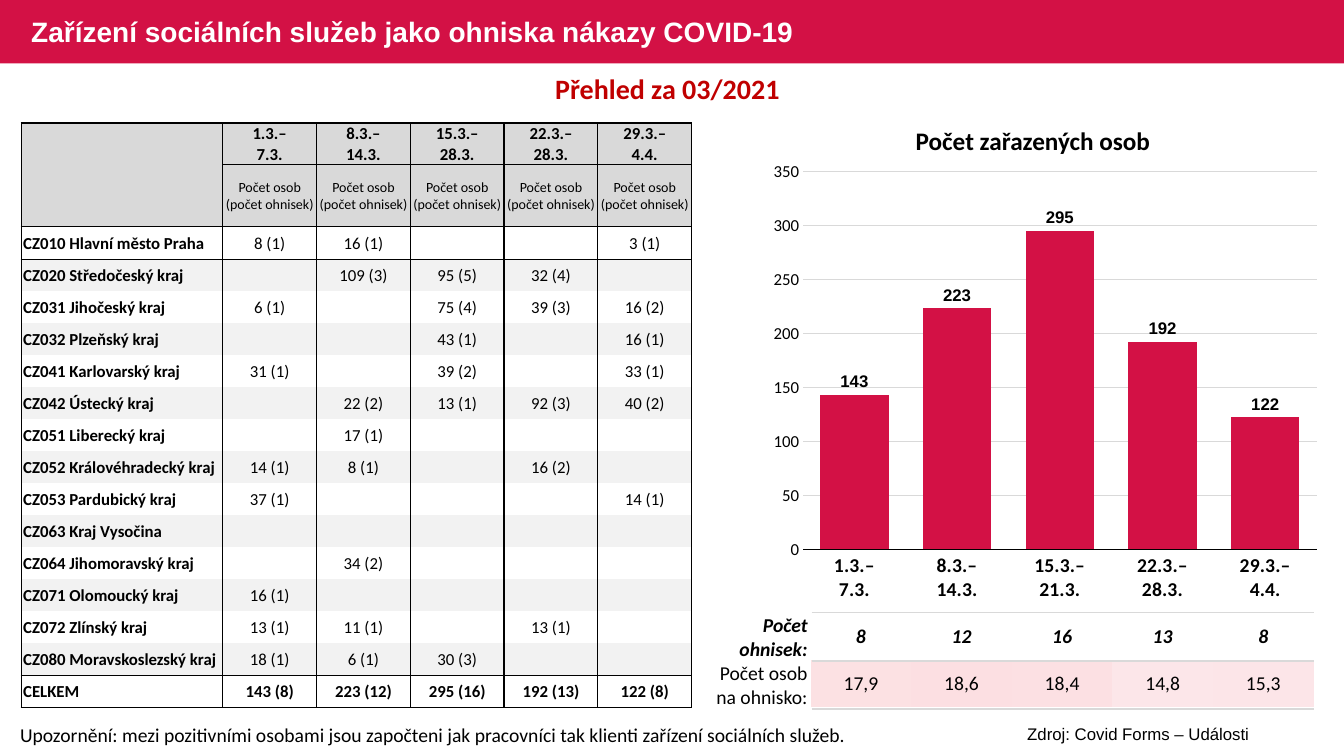
"""Build the slide on COVID-19 outbreaks in social service facilities."""
from lxml import etree
from pptx import Presentation
from pptx.chart.data import CategoryChartData
from pptx.dml.color import RGBColor
from pptx.enum.chart import XL_CHART_TYPE, XL_LABEL_POSITION, XL_TICK_MARK
from pptx.enum.shapes import MSO_SHAPE
from pptx.enum.text import MSO_ANCHOR, MSO_AUTO_SIZE, PP_ALIGN
from pptx.oxml.ns import qn
from pptx.util import Inches, Pt

LEFT, CENTER, RIGHT = PP_ALIGN.LEFT, PP_ALIGN.CENTER, PP_ALIGN.RIGHT
MIDDLE = MSO_ANCHOR.MIDDLE
NO_TICK = XL_TICK_MARK.NONE
COLORS = {
    "crimson": "D31145", "dark_red": "C00000", "black": "000000", "white": "FFFFFF",
    "header": "D9D9D9", "band": "F2F2F2", "grid": "D9D9D9",
}
RGB = {name: RGBColor.from_string(value) for name, value in COLORS.items()}
PLAIN_TABLE_STYLE = "{2D5ABB26-0587-4C30-8999-92F81FD0307C}"


def write(frame, text, size, align=CENTER, font="Calibri", color="black", bold=False, italic=False):
    frame.word_wrap = True
    frame.text = text
    paragraph = frame.paragraphs[0]
    paragraph.alignment = align
    if not text:
        paragraph._p.get_or_add_endParaRPr().set("sz", str(size * 100))
    for run in paragraph.runs:
        run.font.size, run.font.name = Pt(size), font
        run.font.bold, run.font.italic = bold, italic
        run.font.color.rgb = RGB[color]


def format_cell(cell, fill, borders, left_margin=0.01, right_margin=0.01):
    cell.vertical_anchor = MIDDLE
    cell.margin_left, cell.margin_right = Inches(left_margin), Inches(right_margin)
    cell.margin_top, cell.margin_bottom = Inches(0.01), 0
    if fill:
        cell.fill.solid()
        cell.fill.fore_color.rgb = RGBColor.from_string(fill)
    else:
        cell.fill.background()
    properties = cell._tc.get_or_add_tcPr()
    for position, (side, (color, width)) in enumerate(borders.items()):
        line = etree.Element(qn(f"a:ln{side}"), w=str(Pt(width)))
        solid = etree.SubElement(line, qn("a:solidFill"))
        etree.SubElement(solid, qn("a:srgbClr"), val=COLORS[color])
        properties.insert(position, line)


prs = Presentation()
prs.slide_width, prs.slide_height = Inches(13.33), Inches(7.5)
slide = prs.slides.add_slide(prs.slide_layouts[5])
shapes = slide.shapes

banner = shapes.add_shape(MSO_SHAPE.RECTANGLE, 0, 0, prs.slide_width, Inches(0.63))
banner.shadow.inherit = False
banner.fill.solid()
banner.fill.fore_color.rgb = RGB["crimson"]
banner.line.fill.background()
shapes._spTree.insert(2, banner._element)

title = shapes.title
title.left, title.top, title.width, title.height = map(Inches, (0.21, 0.02, 8.13, 0.63))
write(title.text_frame, "Zařízení sociálních služeb jako ohniska nákazy COVID-19", 20,
      LEFT, "Arial", "white", bold=True)
title.text_frame.vertical_anchor = MIDDLE
title.text_frame.auto_size = MSO_AUTO_SIZE.NONE
title.text_frame.paragraphs[0].line_spacing = 0.9

captions = [
    ((0.21, 0.66, 12.82, 0.44), "Přehled za 03/2021", 20, CENTER, "Calibri", "dark_red", True),
    ((7.56, 1.19, 5.37, 0.4), "Počet zařazených osob", 18, CENTER, "Calibri", "black", True),
    ((0.1, 7.12, 8.52, 0.34),
     "Upozornění: mezi pozitivními osobami jsou započteni jak pracovníci tak klienti "
     "zařízení sociálních služeb.", 14, LEFT, "Calibri", "black", False),
    ((9.35, 7.13, 3.88, 0.3), "Zdroj: Covid Forms – Události", 12, CENTER, "Arial", "black", False),
]
for box, *caption in captions:
    write(shapes.add_textbox(*map(Inches, box)).text_frame, *caption)

regions = [
    ("", "1.3.–\v7.3.", "8.3.–\v14.3.", "15.3.–\v28.3.", "22.3.–\v28.3.", "29.3.–\v4.4."),
    ("", *["Počet osob (počet ohnisek)"] * 5),
    ("CZ010 Hlavní město Praha", "8 (1)", "16 (1)", "", "", "3 (1)"),
    ("CZ020 Středočeský kraj", "", "109 (3)", "95 (5)", "32 (4)", ""),
    ("CZ031 Jihočeský kraj", "6 (1)", "", "75 (4)", "39 (3)", "16 (2)"),
    ("CZ032 Plzeňský kraj", "", "", "43 (1)", "", "16 (1)"),
    ("CZ041 Karlovarský kraj", "31 (1)", "", "39 (2)", "", "33 (1)"),
    ("CZ042 Ústecký kraj", "", "22 (2)", "13 (1)", "92 (3)", "40 (2)"),
    ("CZ051 Liberecký kraj", "", "17 (1)", "", "", ""),
    ("CZ052 Královéhradecký kraj", "14 (1)", "8 (1)", "", "16 (2)", ""),
    ("CZ053 Pardubický kraj", "37 (1)", "", "", "", "14 (1)"),
    ("CZ063 Kraj Vysočina", "", "", "", "", ""),
    ("CZ064 Jihomoravský kraj", "", "34 (2)", "", "", ""),
    ("CZ071 Olomoucký kraj", "16 (1)", "", "", "", ""),
    ("CZ072 Zlínský kraj", "13 (1)", "11 (1)", "", "13 (1)", ""),
    ("CZ080 Moravskoslezský kraj", "18 (1)", "6 (1)", "30 (3)", "", ""),
    ("CELKEM", "143 (8)", "223 (12)", "295 (16)", "192 (13)", "122 (8)"),
]
outbreak_values = [("8", "12", "16", "13", "8"), ("17,9", "18,6", "18,4", "14,8", "15,3")]
outbreak_labels = [("Počet ohnisek:", *[""] * 7), ("Počet osob na ohnisko:", *[""] * 7)]
region_heights = [0.41, 0.62] + [(5.8 - 0.41 - 0.62) / 15] * 15
tables = []
for rows, box, widths, heights in [
    (outbreak_values, (8.04, 6.08, 4.99, 0.93), [4.99 / 5] * 5, [0.93 / 2] * 2),
    (regions, (0.21, 1.22, 6.65, 5.8), [2] + [0.93] * 5, region_heights),
    (outbreak_labels, (7.04, 6.08, 5.99, 0.93), [1.01] + [4.98 / 7] * 7, [0.93 / 2] * 2),
]:
    table = shapes.add_table(len(rows), len(widths), *map(Inches, box)).table
    table.first_row = table.horz_banding = False
    table._tbl.tblPr.find(qn("a:tableStyleId")).text = PLAIN_TABLE_STYLE
    for column, width in zip(table.columns, widths):
        column.width = Inches(width)
    for row, height in zip(table.rows, heights):
        row.height = Inches(height)
    tables.append(table)
value_table, region_table, label_table = tables

total_row = len(regions) - 1
for r, row in enumerate(regions):
    fill = "header" if r < 2 else "band" if r % 2 and r < total_row else "white"
    for c, text in enumerate(row):
        borders = {"L": ("black", 1), "R": ("black", 1)}
        if r in (0, total_row) or (r == 1 and c):
            borders["T"] = ("black", 1)
        elif r == 2:
            borders["T"] = ("black", 0.5)
        if r in (total_row - 1, total_row) or (r == 0 and c):
            borders["B"] = ("black", 1)
        elif r == 1:
            borders["B"] = ("black", 0.5)
        cell = region_table.cell(r, c)
        write(cell.text_frame, text, 10 if r == 1 else 12, CENTER if c else LEFT,
              bold=c == 0 or r in (0, total_row))
        format_cell(cell, COLORS[fill], borders, 0.01 if c else 0.02)

rules = {"T": ("grid", 1), "B": ("grid", 1)}
rate_fills = ["FCE1E3", "FCDFE2", "FCE0E3", "FCE6E9", "FCE5E8"]
for r, labels_row in enumerate(outbreak_labels):
    emphasis = {"bold": r == 0, "italic": r == 0}
    for c, label in enumerate(labels_row):
        cell = label_table.cell(r, c)
        write(cell.text_frame, label, 14, RIGHT, **emphasis)
        format_cell(cell, None, rules if c else {}, right_margin=0.04)
    for c, value in enumerate(outbreak_values[r]):
        cell = value_table.cell(r, c)
        write(cell.text_frame, value, 14, **emphasis)
        format_cell(cell, rate_fills[c] if r else None, {})

people = CategoryChartData()
people.categories = ["1.3.–\n7.3.", "8.3.–\n14.3.", "15.3.–\n21.3.", "22.3.–\n28.3.", "29.3.–\n4.4."]
people.add_series("Počet osob", (143, 223, 295, 192, 122))
chart = shapes.add_chart(XL_CHART_TYPE.COLUMN_CLUSTERED,
                         *map(Inches, (7.56, 1.51, 5.61, 4.55)), people).chart
chart.has_title = chart.has_legend = False
chart.font.name, chart.font.size, chart.font.bold = "Arial", Pt(14), True
chart.font.color.rgb = RGB["black"]

week_axis, people_axis = chart.category_axis, chart.value_axis
for axis, size, bold in [(week_axis, 14, True), (people_axis, 12, False)]:
    axis.major_tick_mark = axis.minor_tick_mark = NO_TICK
    font = axis.tick_labels.font
    font.name, font.size, font.bold = "Calibri", Pt(size), bold
    font.color.rgb = RGB["black"]
week_axis.format.line.color.rgb = RGB["black"]
week_axis.format.line.width = Pt(0.75)
people_axis.format.line.fill.background()
people_axis.minimum_scale, people_axis.maximum_scale, people_axis.major_unit = 0, 350, 50
people_axis.major_gridlines.format.line.color.rgb = RGB["grid"]
people_axis.major_gridlines.format.line.width = Pt(0.75)

plot = chart.plots[0]
plot.gap_width, plot.vary_by_categories = 50, False
plot.series[0].format.fill.solid()
plot.series[0].format.fill.fore_color.rgb = RGB["crimson"]
plot.has_data_labels = True
labels = plot.data_labels
labels.show_value, labels.position = True, XL_LABEL_POSITION.OUTSIDE_END
labels.font.name, labels.font.size, labels.font.bold = "Arial", Pt(12), True
labels.font.color.rgb = RGB["black"]

prs.save("out.pptx")
